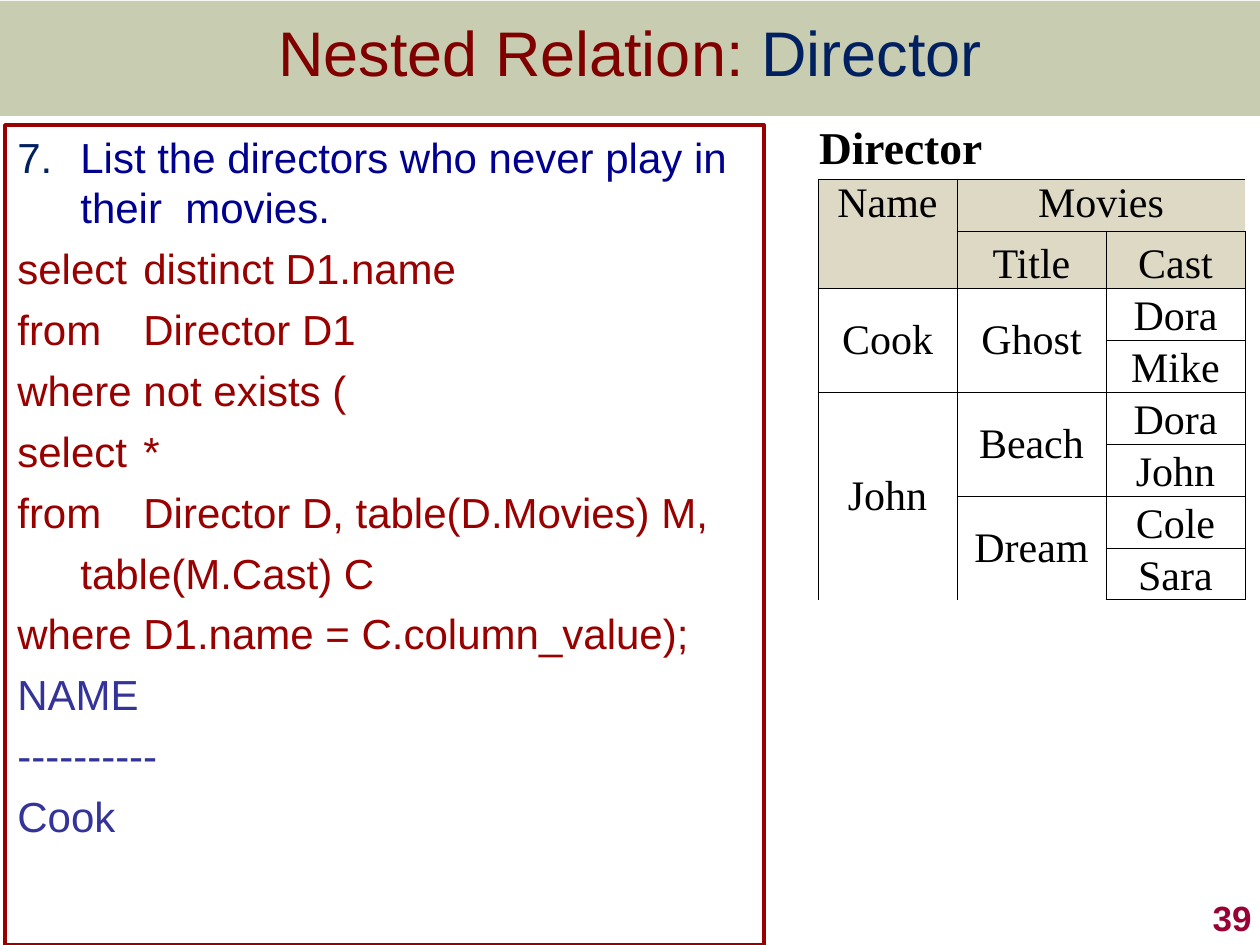
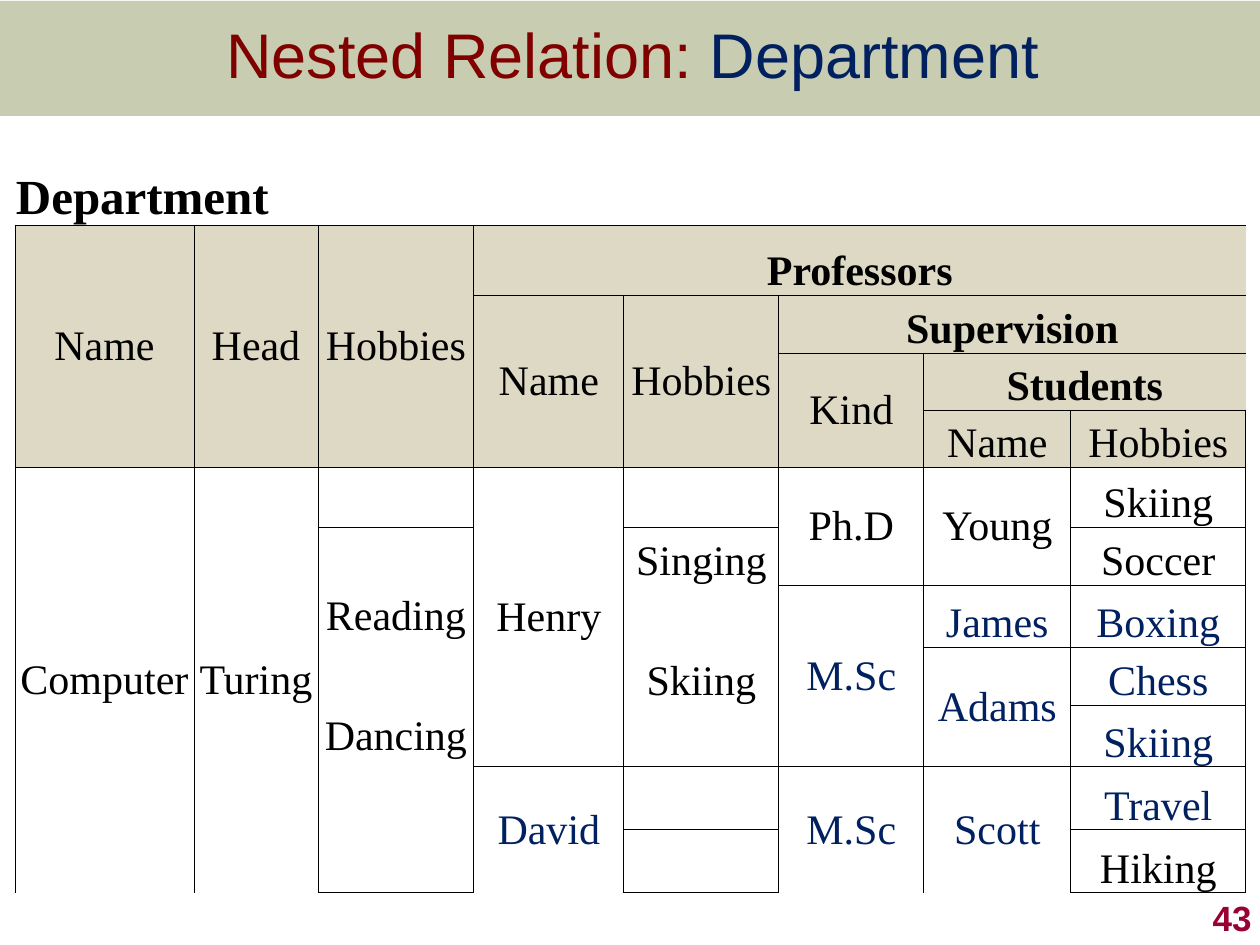
"""Build two slides on nested relations: a query on Director and the Department table."""
import pptx
import pptx.dml.color
import pptx.enum.shapes
import pptx.enum.text
import pptx.oxml.ns
import pptx.util
from lxml import etree

HUES = {"olive": "677228", "maroon": "800000", "navy": "002060", "wine": "990033",
        "red": "990101", "blue": "000090", "violet": "333399", "black": "000000",
        "tan": "DDD9C4", "white": "FFFFFF"}
SANS, SERIF = "Arial", "Times New Roman"
SCALE = 914400 / 126
ANCHOR = pptx.enum.text.MSO_ANCHOR
ALIGN = pptx.enum.text.PP_ALIGN
SIDES = {"t": ANCHOR.TOP, "m": ANCHOR.MIDDLE, "b": ANCHOR.BOTTOM}
PLAIN = "{2D5ABB26-0587-4C30-8999-92F81FD0307C}"
qn = pptx.oxml.ns.qn


def px(*nums):
    return [pptx.util.Emu(round(num * SCALE)) for num in nums]


def write(para, text, size=24, face=SANS, hue="black", bold=False, align=ALIGN.LEFT, gap=0):
    para.alignment = align
    para.space_before = pptx.util.Pt(gap)
    run = para.add_run()
    run.text = text
    run.font.size = pptx.util.Pt(size)
    run.font.name = face
    run.font.bold = bold
    run.font.color.rgb = pptx.dml.color.RGBColor.from_string(HUES[hue])


deck = pptx.Presentation()
deck.slide_width, deck.slide_height = px(1260, 945)

# Each region: row, column, rows, columns, anchor, words (a list is one word per row).
director = [
    (0, 0, 1, 3, "t", "Director"),
    (1, 0, 2, 1, "t", "Name"), (1, 1, 1, 2, "t", "Movies"),
    (2, 1, 1, 1, "b", "Title"), (2, 2, 1, 1, "b", "Cast"),
    (3, 0, 2, 1, "m", "Cook"), (5, 0, 4, 1, "m", "John"),
    (3, 1, 2, 1, "m", "Ghost"), (5, 1, 2, 1, "m", "Beach"), (7, 1, 2, 1, "m", "Dream"),
]
cast = ["Dora", "Mike", "Dora", "John", "Cole", "Sara"]
director += [(row, 2, 1, 1, "b", name) for row, name in enumerate(cast, 3)]

depart = [
    (0, 0, 1, 2, "b", "Department"),
    (1, 0, 4, 1, "m", "Name"), (1, 1, 4, 1, "m", "Head"), (1, 2, 4, 1, "m", "Hobbies"),
    (1, 3, 1, 5, "b", "Professors"),
    (2, 3, 3, 1, "m", "Name"), (2, 4, 3, 1, "m", "Hobbies"), (2, 5, 1, 3, "b", "Supervision"),
    (3, 5, 2, 1, "m", "Kind"), (3, 6, 1, 2, "b", "Students"),
    (4, 6, 1, 1, "b", "Name"), (4, 7, 1, 1, "b", "Hobbies"),
    (5, 0, 7, 1, "m", "Computer"), (5, 1, 7, 1, "m", "Turing"),
    (5, 2, 7, 1, "m", ["", "", "Reading", "", "Dancing", "", ""]),
    (5, 3, 5, 1, "m", "Henry"), (10, 3, 2, 1, "m", "David"),
    (5, 4, 5, 1, "b", ["", "Singing", "", "Skiing", ""]), (10, 4, 2, 1, "b", ["", ""]),
    (5, 5, 2, 1, "m", "Ph.D"), (7, 5, 3, 1, "m", "M.Sc"), (10, 5, 2, 1, "m", "M.Sc"),
    (5, 6, 2, 1, "m", "Young"), (7, 6, 1, 1, "b", "James"),
    (8, 6, 2, 1, "m", "Adams"), (10, 6, 2, 1, "m", "Scott"),
    (5, 7, 2, 1, "b", ["Skiing", "Soccer"]), (7, 7, 1, 1, "b", "Boxing"),
    (8, 7, 2, 1, "b", ["Chess", "Skiing"]), (10, 7, 2, 1, "b", ["Travel", "Hiking"]),
]
tinted = {(10, 3), (7, 5), (10, 5), (7, 6), (8, 6), (10, 6), (7, 7), (8, 7), (9, 7), (10, 7)}
strong = {"Director", "Department", "Professors", "Supervision", "Students"}

pages = [
    dict(topic="Director", number="39", title=(0, 0, 1260, 103), spot=(818, 123),
         cols=[139, 149, 139], rows=[56, 52, 57] + [52] * 6,
         head=3, large=26, areas=director, tints=set()),
    dict(topic="Department", number="43", title=(5, 0, 1255, 107), spot=(15, 155),
         cols=[179, 124, 156, 150, 155, 145, 147, 175],
         rows=[70, 70, 58, 57, 57, 60, 58, 62, 58, 62, 63, 63],
         head=5, large=28, areas=depart, tints=tinted),
]

for page in pages:
    slide = deck.slides.add_slide(deck.slide_layouts[6])
    band = slide.shapes.add_shape(pptx.enum.shapes.MSO_SHAPE.RECTANGLE, *px(0, 1, 1260, 115))
    band.shadow.inherit = False
    band.line.fill.background()
    band.fill.solid()
    band.fill.fore_color.rgb = pptx.dml.color.RGBColor.from_string(HUES["olive"])
    tone = band._element.spPr.find(qn("a:solidFill"))[0]
    etree.SubElement(tone, qn("a:alpha"), val="36000")

    title = slide.shapes.add_textbox(*px(*page["title"])).text_frame
    title.word_wrap = True
    title.vertical_anchor = ANCHOR.MIDDLE
    for text, hue in (("Nested Relation: ", "maroon"), (page["topic"], "navy")):
        write(title.paragraphs[0], text, size=36, hue=hue, align=ALIGN.CENTER)

    foot = slide.shapes.add_textbox(*px(1002, 882, 262, 63)).text_frame
    foot.word_wrap = True
    foot.vertical_anchor = ANCHOR.BOTTOM
    write(foot.paragraphs[0], page["number"], size=20, hue="wine", bold=True, align=ALIGN.RIGHT)

    cols, rows = page["cols"], page["rows"]
    frame = slide.shapes.add_table(len(rows), len(cols),
                                   *px(*page["spot"], sum(cols), sum(rows)))
    table = frame.table
    table.first_row = table.horz_banding = False
    next(frame._element.iter(qn("a:tableStyleId"))).text = PLAIN
    for col, wide in zip(table.columns, px(*cols)):
        col.width = wide
    for row, high in zip(table.rows, px(*rows)):
        row.height = high

    for top, left, high, wide, side, words in page["areas"]:
        merged = isinstance(words, str)
        if merged and high * wide > 1:
            table.cell(top, left).merge(table.cell(top + high - 1, left + wide - 1))
        for row in range(top, top + high):
            for col in range(left, left + wide):
                cell = table.cell(row, col)
                cell.margin_left, cell.margin_right, cell.margin_top, cell.margin_bottom = px(1, 1, 1, 0)
                cell.vertical_anchor = SIDES[side]
                cell.fill.solid()
                fill = "tan" if 0 < row < page["head"] else "white"
                cell.fill.fore_color.rgb = pptx.dml.color.RGBColor.from_string(HUES[fill])
                word = words[row - top] if not merged else words if (row, col) == (top, left) else ""
                if word:
                    write(cell.text_frame.paragraphs[0], word, face=SERIF, bold=word in strong,
                          size=24 if row else page["large"],
                          hue="navy" if (row, col) in page["tints"] else "black",
                          align=ALIGN.CENTER if row else ALIGN.LEFT)
                edges = {"lnL": col == left, "lnR": col == left + wide - 1,
                         "lnT": row == top, "lnB": row == top + high - 1}
                props = cell._tc.get_or_add_tcPr()
                for spot, tag in enumerate(tag for tag in edges if row and edges[tag]):
                    line = etree.Element(qn("a:" + tag), w="6350")
                    ink = etree.SubElement(line, qn("a:solidFill"))
                    etree.SubElement(ink, qn("a:srgbClr"), val=HUES["black"])
                    props.insert(spot, line)

query = [
    ("List the directors who never play in their  movies.", "blue"),
    ("select \tdistinct D1.name", "red"),
    ("from\tDirector D1", "red"),
    ("where not exists (", "red"),
    ("select\t*", "red"),
    ("from\tDirector D, table(D.Movies) M,", "red"),
    ("\ttable(M.Cast) C", "red"),
    ("where\tD1.name = C.column_value);", "red"),
    ("NAME", "violet"),
    ("----------", "violet"),
    ("Cook", "violet"),
]
panel = deck.slides[0].shapes.add_textbox(*px(5, 125, 759, 820))
panel.line.color.rgb = pptx.dml.color.RGBColor.from_string(HUES["red"])
panel.line.width = pptx.util.Pt(2)
body = panel.text_frame
body.word_wrap = True
body.margin_right = 0
for spot, (text, hue) in enumerate(query):
    para = body.add_paragraph() if spot else body.paragraphs[0]
    write(para, text, hue=hue, gap=6 if spot else 0)

props = body.paragraphs[0]._p.get_or_add_pPr()
dent = px(63)[0]
props.set("marL", str(dent))
props.set("indent", str(-dent))
mark = etree.SubElement(props, qn("a:buClr"))
etree.SubElement(mark, qn("a:srgbClr"), val=HUES["navy"])
etree.SubElement(props, qn("a:buFont"), typeface=SANS)
etree.SubElement(props, qn("a:buAutoNum"), type="arabicPeriod", startAt="7")

deck.save("out.pptx")
